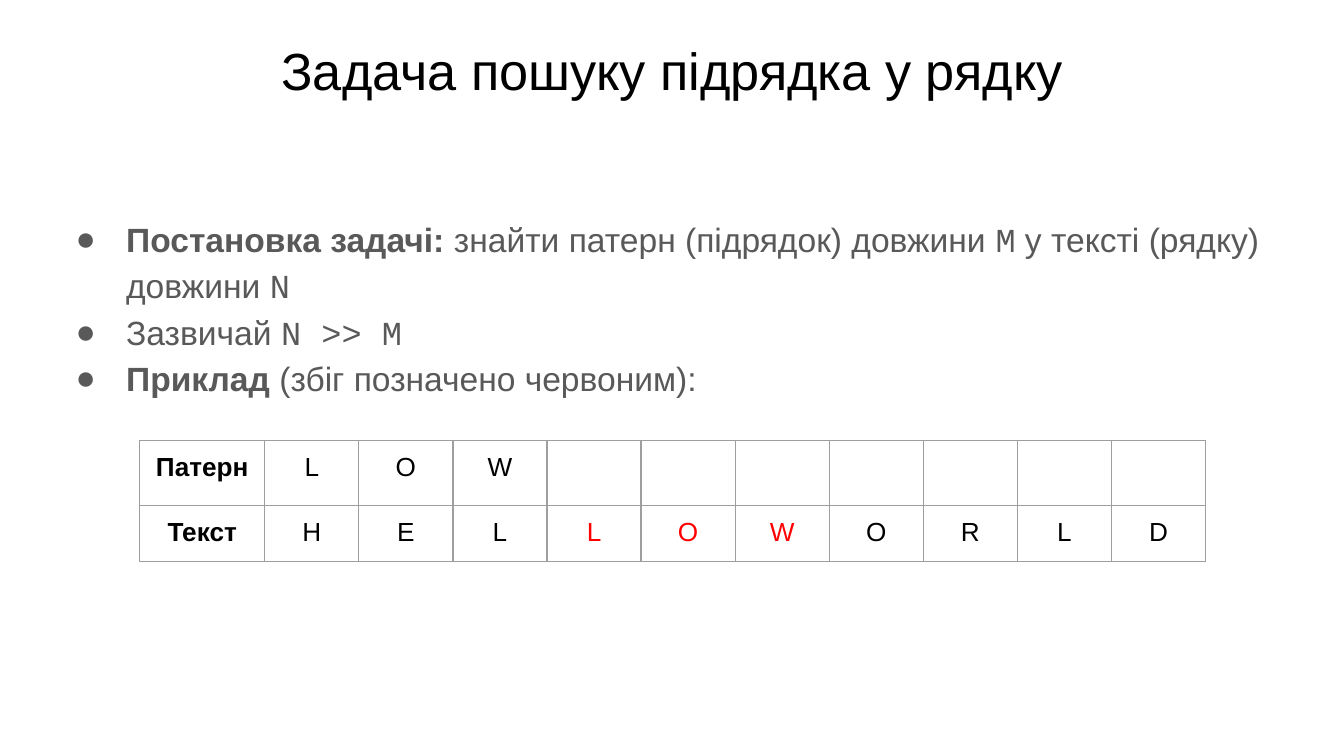
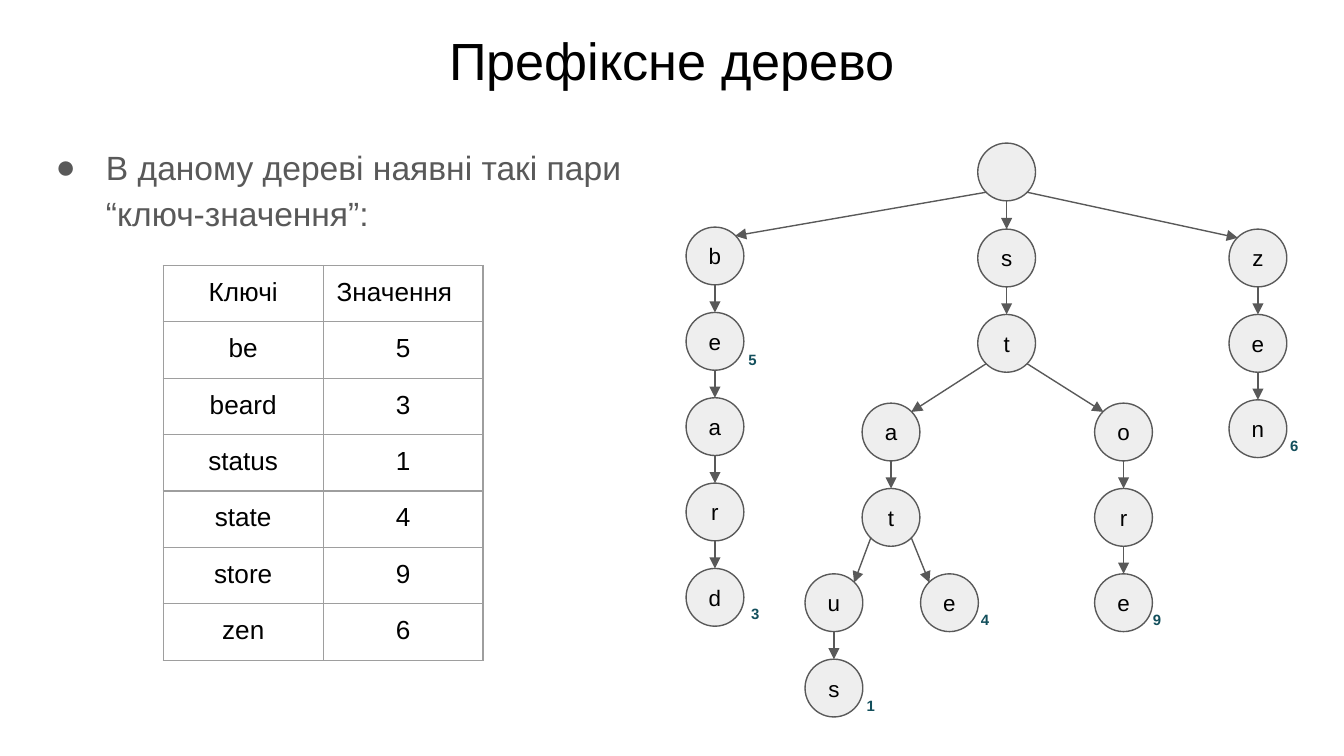
import pptx
import pptx.dml.color
import pptx.enum.shapes
import pptx.enum.text
import pptx.oxml.ns
import pptx.util
from lxml import etree

PX = 4572  # 200 px to the inch
COLOURS = {
    "paper": "FFFFFF",
    "ink": "000000",
    "grey": "595959",
    "node": "EEEEEE",
    "grid": "9E9E9E",
    "match": "FF0000",
    "value": "134F5C",
}
RGB = {name: pptx.dml.color.RGBColor.from_string(code) for name, code in COLOURS.items()}
CENTER = pptx.enum.text.PP_ALIGN.CENTER
LEFT = pptx.enum.text.PP_ALIGN.LEFT
INSET = 20 * PX
qn = pptx.oxml.ns.qn


def add_text(page, place, paragraphs, size, colour, align=LEFT, bold=False, bulleted=False):
    """Add a text box; each paragraph is a list of (text, style), style "", "bold" or "code"."""
    box = page.shapes.add_textbox(*[length * PX for length in place])
    frame = box.text_frame
    frame.word_wrap = True
    frame.margin_left = frame.margin_right = frame.margin_top = frame.margin_bottom = INSET
    for index, spans in enumerate(paragraphs):
        paragraph = frame.paragraphs[0] if index == 0 else frame.add_paragraph()
        paragraph.alignment = align
        for text, style in spans:
            span = paragraph.add_run()
            span.text = text
            span.font.name = "Courier New" if style == "code" else "Arial"
            span.font.size = pptx.util.Pt(size)
            span.font.bold = bold or style == "bold"
            span.font.color.rgb = RGB[colour]
        if bulleted:
            paragraph.line_spacing = 1.15
            properties = paragraph._p.get_or_add_pPr()
            properties.set("marL", str(100 * PX))
            properties.set("indent", str(-75 * PX))
            bullet_colour = etree.SubElement(properties, qn("a:buClr"))
            etree.SubElement(bullet_colour, qn("a:srgbClr"), val=COLOURS[colour])
            etree.SubElement(properties, qn("a:buSzPts"), val=str(size * 100))
            etree.SubElement(properties, qn("a:buFont"), typeface="Arial")
            etree.SubElement(properties, qn("a:buChar"), char="●")
    return box


def add_grid(page, left, top, widths, rows):
    """Add a plain bordered table and return it."""
    height = 84
    table = page.shapes.add_table(
        len(rows), len(widths), left * PX, top * PX, sum(widths) * PX, height * len(rows) * PX
    ).table
    table.first_row = table.horz_banding = False
    for column, width in zip(table.columns, widths):
        column.width = width * PX
    for row, texts in zip(table.rows, rows):
        row.height = height * PX
        for cell, text in zip(row.cells, texts):
            cell.margin_left = cell.margin_right = INSET
            cell.margin_top = cell.margin_bottom = 18 * PX
            properties = cell._tc.get_or_add_tcPr()
            for side in ("a:lnL", "a:lnR", "a:lnT", "a:lnB"):
                border = etree.SubElement(properties, qn(side), w=str(pptx.util.Pt(0.75)))
                fill = etree.SubElement(border, qn("a:solidFill"))
                etree.SubElement(fill, qn("a:srgbClr"), val=COLOURS["grid"])
            cell.fill.background()
            cell.text_frame.text = text
            paragraph = cell.text_frame.paragraphs[0]
            paragraph.alignment = CENTER
            for span in paragraph.runs:
                span.font.name = "Arial"
                span.font.size = pptx.util.Pt(14)
                span.font.color.rgb = RGB["ink"]
    return table


deck = pptx.Presentation()
deck.slide_width = 2000 * PX
deck.slide_height = 1125 * PX

pages = []
for title, title_top in (("Задача пошуку підрядка у рядку", 37), ("Префіксне дерево", 22)):
    page = deck.slides.add_slide(deck.slide_layouts[6])
    page.background.fill.solid()
    page.background.fill.fore_color.rgb = RGB["paper"]
    add_text(page, (68, title_top, 1864, 126), [[(title, "")]], 28, "ink", align=CENTER)
    pages.append(page)
search_page, tree_page = pages

# Substring search
statement = [
    [
        ("Постановка задачі:", "bold"),
        (" знайти патерн (підрядок) довжини ", ""),
        ("M", "code"),
        (" у тексті (рядку) довжини ", ""),
        ("N", "code"),
    ],
    [("Зазвичай ", ""), ("N >> M", "code")],
    [("Приклад", "bold"), (" (збіг позначено червоним):", "")],
]
add_text(search_page, (68, 297, 1864, 326), statement, 18, "grey", bulleted=True)

pattern, text = "LOW", "HELLOWORLD"
match = text.index(pattern)
rows = [["Патерн", *pattern] + [""] * (len(text) - len(pattern)), ["Текст", *text]]
example = add_grid(search_page, 208, 656, [186] + [140] * len(text), rows)
for row in example.rows:
    row.cells[0].text_frame.paragraphs[0].runs[0].font.bold = True
for index in range(match, match + len(pattern)):
    span = example.cell(1, index + 1).text_frame.paragraphs[0].runs[0]
    span.font.color.rgb = RGB["match"]

# Prefix tree
values = {"be": 5, "beard": 3, "status": 1, "state": 4, "store": 9, "zen": 6}
note = [[("В даному дереві наявні такі пари “ключ-значення”:", "")]]
add_text(tree_page, (38, 189, 916, 164), note, 18, "grey", bulleted=True)
rows = [["Ключі", "Значення"]] + [[key, str(value)] for key, value in values.items()]
pairs = add_grid(tree_page, 243, 395, [238, 238], rows)
pairs.cell(0, 1).text_frame.paragraphs[0].alignment = LEFT

NODE = 86
HALF = 43
DIAGONAL = 30  # from a node's centre to its diagonal point, along each axis
PITCH = 127
# Each branch: the prefix it ends with, its parent prefix, left and top of its first node
branches = [
    ("", None, 1455, 213),
    ("be", "", 1021, 338),
    ("beard", "be", 1021, 338 + 2 * PITCH),
    ("st", "", 1455, 341),
    ("stat", "st", 1283, 600),
    ("status", "stat", 1198, 600 + 2 * PITCH),
    ("state", "stat", 1370, 600 + 2 * PITCH),
    ("store", "st", 1629, 600),
    ("zen", "", 1829, 341),
]
# Place of each value, from the corner of its node
value_offsets = {
    "be": (73, 43),
    "beard": (77, 40),
    "status": (72, 43),
    "state": (70, 42),
    "store": (67, 42),
    "zen": (71, 41),
}
ends = {}
for prefix, parent, left, first_top in branches:
    previous = ends.get(parent)
    letters = prefix[len(parent):] if parent is not None else [""]
    for step, letter in enumerate(letters):
        top = first_top + PITCH * step
        node = tree_page.shapes.add_shape(
            pptx.enum.shapes.MSO_SHAPE.OVAL, left * PX, top * PX, NODE * PX, NODE * PX
        )
        node.shadow.inherit = False
        node.fill.solid()
        node.fill.fore_color.rgb = RGB["node"]
        node.line.color.rgb = RGB["grey"]
        node.line.width = pptx.util.Pt(0.75)
        if letter:
            frame = node.text_frame
            frame.text = letter
            frame.vertical_anchor = pptx.enum.text.MSO_ANCHOR.MIDDLE
            frame.margin_left = frame.margin_right = INSET
            frame.margin_top = frame.margin_bottom = INSET
            paragraph = frame.paragraphs[0]
            paragraph.alignment = CENTER
            font = paragraph.runs[0].font
            font.name = "Arial"
            font.size = pptx.util.Pt(12)
            font.color.rgb = RGB["ink"]

        if previous:
            from_left, from_top = previous
            side = (left > from_left) - (left < from_left)
            shift, inset = side * DIAGONAL, abs(side) * (HALF - DIAGONAL)
            arrow = tree_page.shapes.add_connector(
                pptx.enum.shapes.MSO_CONNECTOR.STRAIGHT,
                (from_left + HALF + shift) * PX,
                (from_top + NODE - inset) * PX,
                (left + HALF - shift) * PX,
                (top + inset) * PX,
            )
            arrow.line.color.rgb = RGB["grey"]
            arrow.line.width = pptx.util.Pt(0.75)
            etree.SubElement(arrow.line._get_or_add_ln(), qn("a:tailEnd"), type="triangle")
            etree.SubElement(arrow._element.spPr, qn("a:effectLst"))
        previous = (left, top)

    ends[prefix] = previous
    if prefix in values:
        right, down = value_offsets[prefix]
        label = [[(str(values[prefix]), "")]]
        place = (left + right, top + down, 50, 54)
        box = add_text(tree_page, place, label, 8, "value", bold=True)
        box.text_frame.auto_size = pptx.enum.text.MSO_AUTO_SIZE.SHAPE_TO_FIT_TEXT

deck.save("out.pptx")
